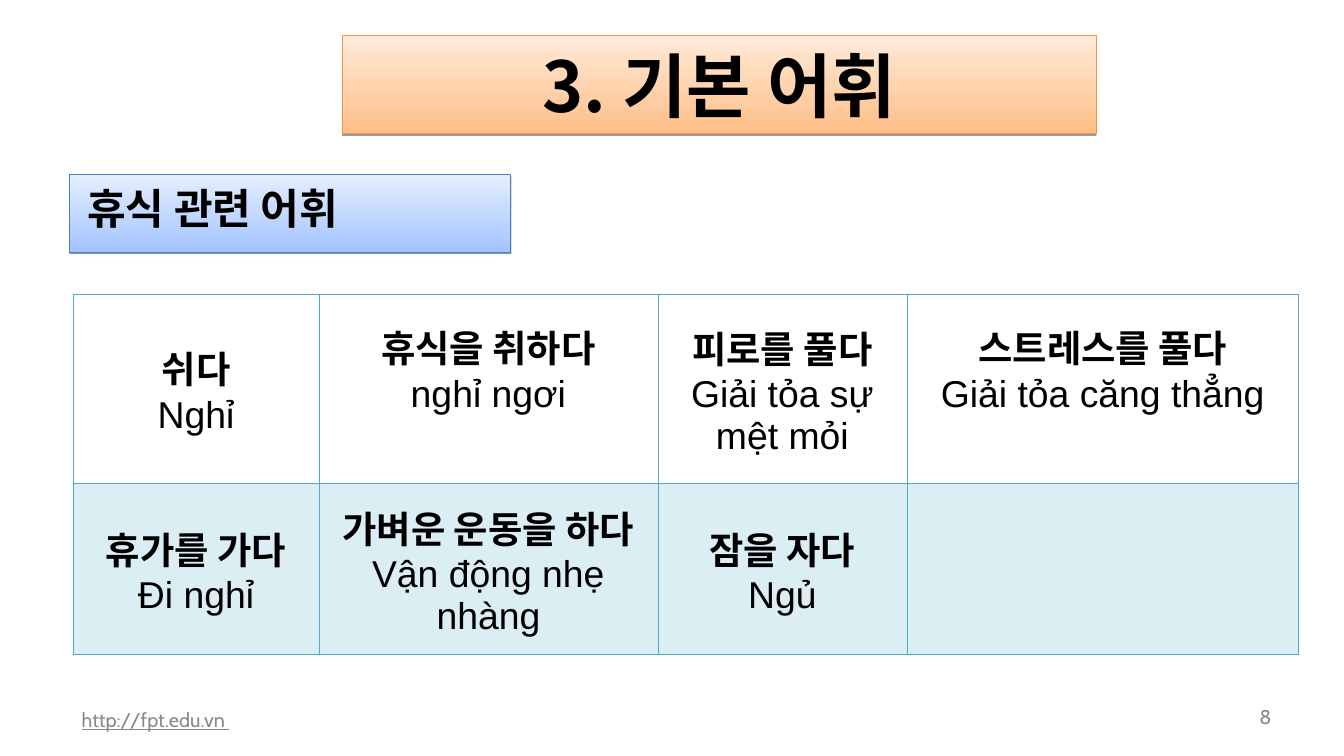
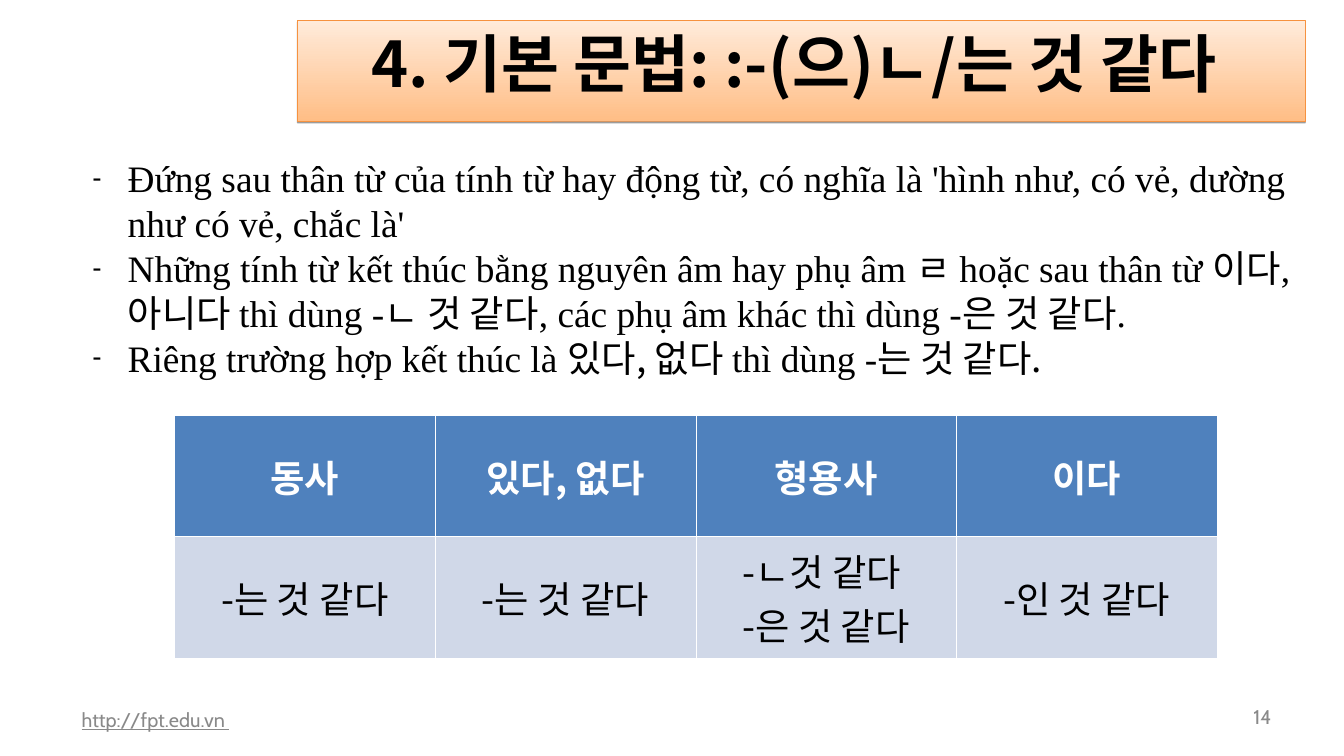
"""Build two Korean lesson slides: vocabulary on rest and a grammar pattern."""
from dataclasses import dataclass
from itertools import cycle

import pptx
import pptx.dml.color
import pptx.enum.shapes
import pptx.enum.text
import pptx.oxml
import pptx.oxml.ns
import pptx.util
from pptx.util import Cm

COLORS = {
    "ink": "000000", "paper": "FFFFFF", "footer": "898989",
    "orange": "FFBE86", "orange_pale": "FFEBDB", "orange_line": "F69240",
    "blue": "A3C4FF", "blue_pale": "E5EEFF", "blue_line": "4A7EBB",
    "teal": "4BACC6", "header": "4F81BD", "band": "D0D8E8",
}
KOREAN, VIETNAMESE, SERIF, FOOTER = "Noto Sans CJK KR", "Arial", "Times New Roman", "Cabin"
LEFT, CENTER, RIGHT = (pptx.enum.text.PP_ALIGN.LEFT, pptx.enum.text.PP_ALIGN.CENTER,
                       pptx.enum.text.PP_ALIGN.RIGHT)
TOP, MIDDLE = pptx.enum.text.MSO_ANCHOR.TOP, pptx.enum.text.MSO_ANCHOR.MIDDLE
TITLE_ONLY, TITLE_AND_BODY = 5, 1


@dataclass(frozen=True)
class Box:
    left: float
    top: float
    width: float
    height: float

    def lengths(self) -> tuple:
        return Cm(self.left), Cm(self.top), Cm(self.width), Cm(self.height)


@dataclass(frozen=True)
class Panel:
    dark: str
    pale: str
    line: str


@dataclass(frozen=True)
class Entry:
    lines: tuple = ()
    fonts: tuple = (KOREAN,)
    bolds: tuple = (False,)
    color: str = "ink"
    fill: str = ""
    alpha: int = 100
    bottom: float = 0.13


TITLE_PANEL = Panel("orange", "orange_pale", "orange_line")
TOPIC_PANEL = Panel("blue", "blue_pale", "blue_line")


def rgb(name: str):
    return pptx.dml.color.RGBColor.from_string(COLORS[name])


def sub(parent, tag: str, **attributes):
    child = parent.makeelement(pptx.oxml.ns.qn(tag), {k: str(v) for k, v in attributes.items()})
    parent.append(child)
    return child


def write(paragraph, text: str, *, size: float = 32, font: str = KOREAN, color: str = "ink",
          bold: bool = False, underline: bool = False, align=LEFT) -> None:
    paragraph.alignment = align
    run = paragraph.add_run()
    run.text = text
    run.font.size = pptx.util.Pt(size)
    run.font.bold = bold
    run.font.underline = underline
    run.font.color.rgb = rgb(color)
    run.font.name = font
    sub(run.font._element, "a:ea", typeface=font)


def prepare(frame, anchor, side: float = 0.25, edge: float = 0.13) -> None:
    frame.word_wrap = True
    frame.auto_size = pptx.enum.text.MSO_AUTO_SIZE.NONE
    frame.vertical_anchor = anchor
    frame.margin_left = frame.margin_right = Cm(side)
    frame.margin_top = frame.margin_bottom = Cm(edge)


def place(shape, box: Box) -> None:
    shape.left, shape.top, shape.width, shape.height = box.lengths()


def style_panel(shape, panel: Panel) -> None:
    shape.fill.gradient()
    shape.fill.gradient_angle = 90
    for stop, name in zip(shape.fill.gradient_stops, (panel.dark, panel.pale)):
        stop.color.rgb = rgb(name)
    shape.line.color.rgb = rgb(panel.line)
    shape.line.width = pptx.util.Pt(0.75)
    shape.shadow.inherit = False
    effects = shape._element.spPr.find(pptx.oxml.ns.qn("a:effectLst"))
    shadow = sub(effects, "a:outerShdw", blurRad=0, dist=20000, dir=5400000, rotWithShape=0)
    sub(sub(shadow, "a:srgbClr", val=COLORS["ink"]), "a:alpha", val=38000)


def add_footer(slide, number: str) -> None:
    for text, box, underline, align in (
        ("http://fpt.edu.vn ", Box(2.11, 21.16, 12.88, 1.22), True, LEFT),
        (number, Box(36.83, 21.16, 1.98, 1.04), False, RIGHT),
    ):
        frame = slide.shapes.add_textbox(*box.lengths()).text_frame
        prepare(frame, MIDDLE, 0.36, 0.18)
        write(frame.paragraphs[0], text, size=17, font=FOOTER, color="footer",
              underline=underline, align=align)


def start_slide(deck, layout: int, title: str, box: Box, size: float, anchor, number: str):
    slide = deck.slides.add_slide(deck.slide_layouts[layout])
    add_footer(slide, number)
    heading = slide.shapes.title
    place(heading, box)
    style_panel(heading, TITLE_PANEL)
    prepare(heading.text_frame, anchor)
    write(heading.text_frame.paragraphs[0], title, size=size, bold=True, align=CENTER)
    return slide


def border(cell, color: str, top: float, bottom: float) -> None:
    properties = cell._tc.get_or_add_tcPr()
    widths = {"a:lnL": 0.45, "a:lnR": 0.45, "a:lnT": top, "a:lnB": bottom}
    for position, (tag, width) in enumerate(widths.items()):
        edge = sub(properties, tag, w=int(pptx.util.Pt(width)))
        sub(sub(edge, "a:solidFill"), "a:srgbClr", val=COLORS[color])
        properties.insert(position, edge)


def fill_cell(cell, entry: Entry) -> None:
    cell.vertical_anchor = MIDDLE
    cell.margin_left = cell.margin_right = Cm(0.25)
    cell.margin_top, cell.margin_bottom = Cm(0.13), Cm(entry.bottom)
    if entry.fill:
        cell.fill.solid()
        cell.fill.fore_color.rgb = rgb(entry.fill)
        if entry.alpha < 100:
            tint = cell._tc.tcPr.find(".//" + pptx.oxml.ns.qn("a:srgbClr"))
            sub(tint, "a:alpha", val=entry.alpha * 1000)
    else:
        cell.fill.background()
    frame = cell.text_frame
    for index, (line, font, bold) in enumerate(
            zip(entry.lines, cycle(entry.fonts), cycle(entry.bolds))):
        paragraph = frame.add_paragraph() if index else frame.paragraphs[0]
        write(paragraph, line, font=font, bold=bold, color=entry.color, align=CENTER)


def add_grid(slide, left: float, top: float, widths: list, heights: list, rows: list,
             line: str, divider: float) -> None:
    box = Box(left, top, sum(widths), sum(heights))
    table = slide.shapes.add_table(len(rows), len(widths), *box.lengths()).table
    table.first_row = table.horz_banding = False
    for column, width in zip(table.columns, widths):
        column.width = Cm(width)
    for r, (entries, height) in enumerate(zip(rows, heights)):
        table.rows[r].height = Cm(height)
        for c, entry in enumerate(entries):
            fill_cell(table.cell(r, c), entry)
            border(table.cell(r, c), line, divider if r else 0.45,
                   0.45 if r == len(rows) - 1 else divider)


def word(*lines: str, **look) -> Entry:
    return Entry(lines, (KOREAN, VIETNAMESE), (True, False), **look)


def build_vocabulary(deck) -> None:
    slide = start_slide(deck, TITLE_ONLY, "3. 기본 어휘", Box(10.36, 1.07, 22.78, 2.97),
                        60, MIDDLE, "8")
    topic = slide.shapes.add_shape(pptx.enum.shapes.MSO_SHAPE.RECTANGLE,
                                   *Box(2.11, 5.28, 13.34, 2.34).lengths())
    style_panel(topic, TOPIC_PANEL)
    prepare(topic.text_frame, TOP, 0.25, 0.25)
    topic.text_frame.margin_left = Cm(0.53)
    write(topic.text_frame.paragraphs[0], "휴식 관련 어휘", size=36, bold=True)
    raised = {"bottom": 1.43}
    tinted = {"fill": "teal", "alpha": 20}
    rows = [
        [word("쉬다", "Nghỉ"), word("휴식을 취하다", "nghỉ ngơi", **raised),
         word("피로를 풀다", "Giải tỏa sự mệt mỏi"),
         word("스트레스를 풀다", "Giải tỏa căng thẳng", **raised)],
        [word("휴가를 가다", "Đi nghỉ", **tinted),
         word("가벼운 운동을 하다", "Vận động nhẹ nhàng", **tinted),
         word("잠을 자다", "Ngủ", **tinted), word(**tinted)],
    ]
    add_grid(slide, 2.21, 8.89, [7.44, 10.24, 7.54, 11.84], [5.72, 5.18], rows, "teal", 0.96)


def add_rule(paragraph, parts: tuple) -> None:
    properties = paragraph._p.get_or_add_pPr()
    properties.set("marL", str(int(Cm(1.27))))
    properties.set("indent", str(-int(Cm(1.07))))
    sub(sub(properties, "a:buClr"), "a:srgbClr", val=COLORS["ink"])
    sub(properties, "a:buSzPct", val=75000)
    sub(properties, "a:buChar", char="-")
    paragraph.line_spacing = pptx.util.Pt(38.4)
    paragraph.space_before = pptx.util.Pt(0)
    for text, font in zip(parts, cycle((SERIF, KOREAN))):
        write(paragraph, text, font=font)


def build_grammar(deck) -> None:
    slide = start_slide(deck, TITLE_AND_BODY, "4. 기본 문법: :-(으)ㄴ/는 것 같다 ",
                        Box(8.99, 0.61, 30.48, 3.05), 54, TOP, "14")
    rules = (
        ("Đứng sau thân từ của tính từ hay động từ, có nghĩa là 'hình như, có vẻ, "
         "dường như có vẻ, chắc là'",),
        ("Những tính từ kết thúc bằng nguyên âm hay phụ âm ", "ㄹ ", "hoặc sau thân từ ",
         "이다", ", ", "아니다 ", "thì dùng -", "ㄴ 것 같다",
         ", các phụ âm khác thì dùng -", "은 것 같다", "."),
        ("Riêng trường hợp kết thúc là ", "있다, 없다 ", "thì dùng -", "는 것 같다."),
    )
    usage = slide.placeholders[1]
    place(usage, Box(2.34, 4.45, 38.3, 7.2))
    prepare(usage.text_frame, TOP, 0.25, 0.25)
    for index, parts in enumerate(rules):
        add_rule(usage.text_frame.add_paragraph() if index else usage.text_frame.paragraphs[0],
                 parts)
    classes = ["동사", "있다, 없다", "형용사", "이다"]
    endings = [("-는 것 같다",), ("-는 것 같다",), ("-ㄴ것 같다 ", "-은 것 같다"), ("-인 것 같다",)]
    rows = [
        [Entry((name,), bolds=(True,), color="paper", fill="header") for name in classes],
        [Entry(lines, fill="band") for lines in endings],
    ]
    add_grid(slide, 5.28, 12.57, [7.88] * 4, [3.66] * 2, rows, "paper", 1.47)


def main() -> None:
    deck = pptx.Presentation()
    deck.slide_width, deck.slide_height = Cm(40.64), Cm(22.86)
    build_vocabulary(deck)
    build_grammar(deck)
    deck.save("out.pptx")


if __name__ == "__main__":
    main()
